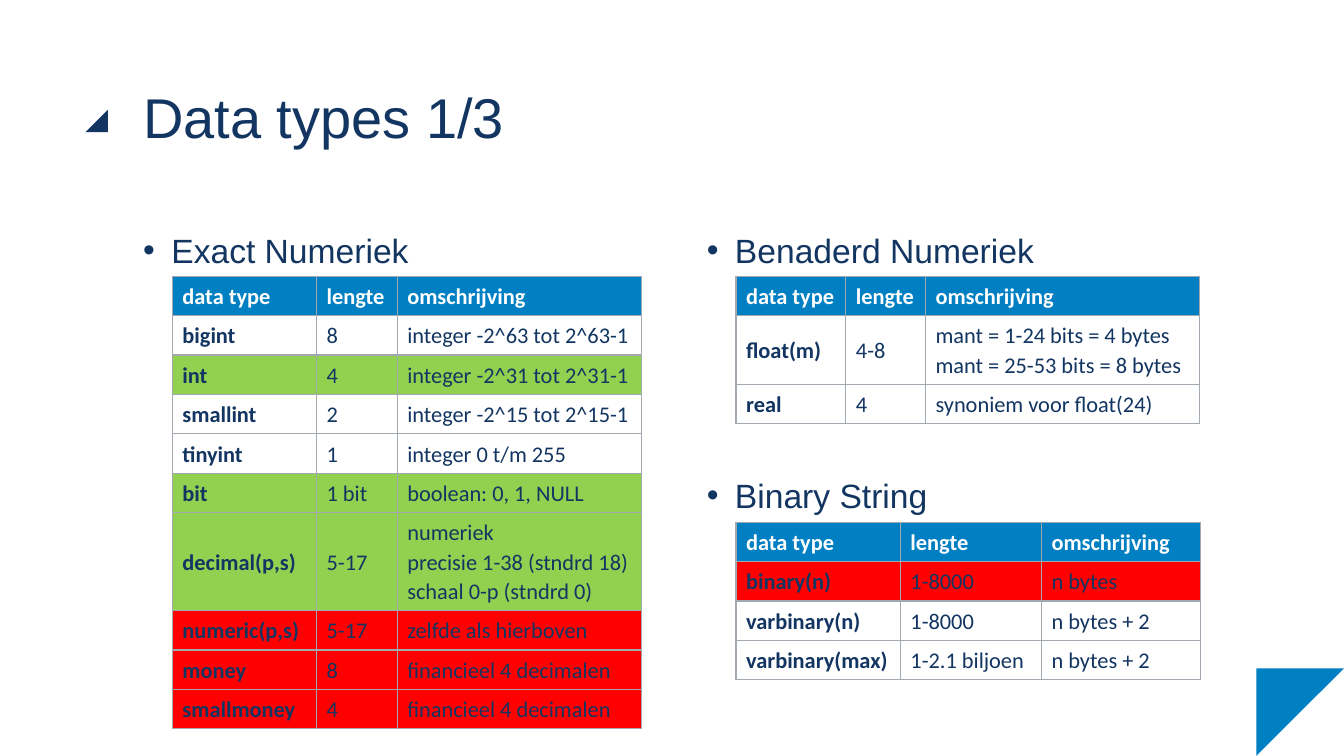
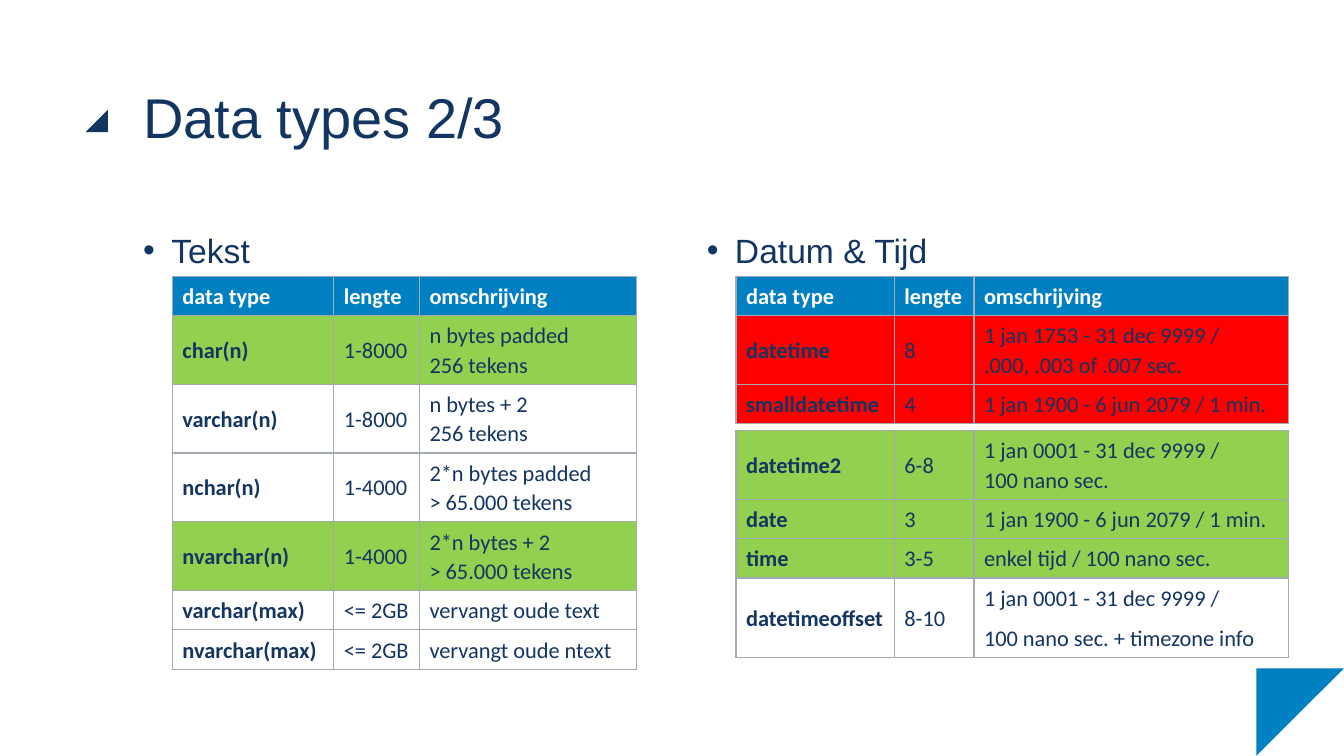
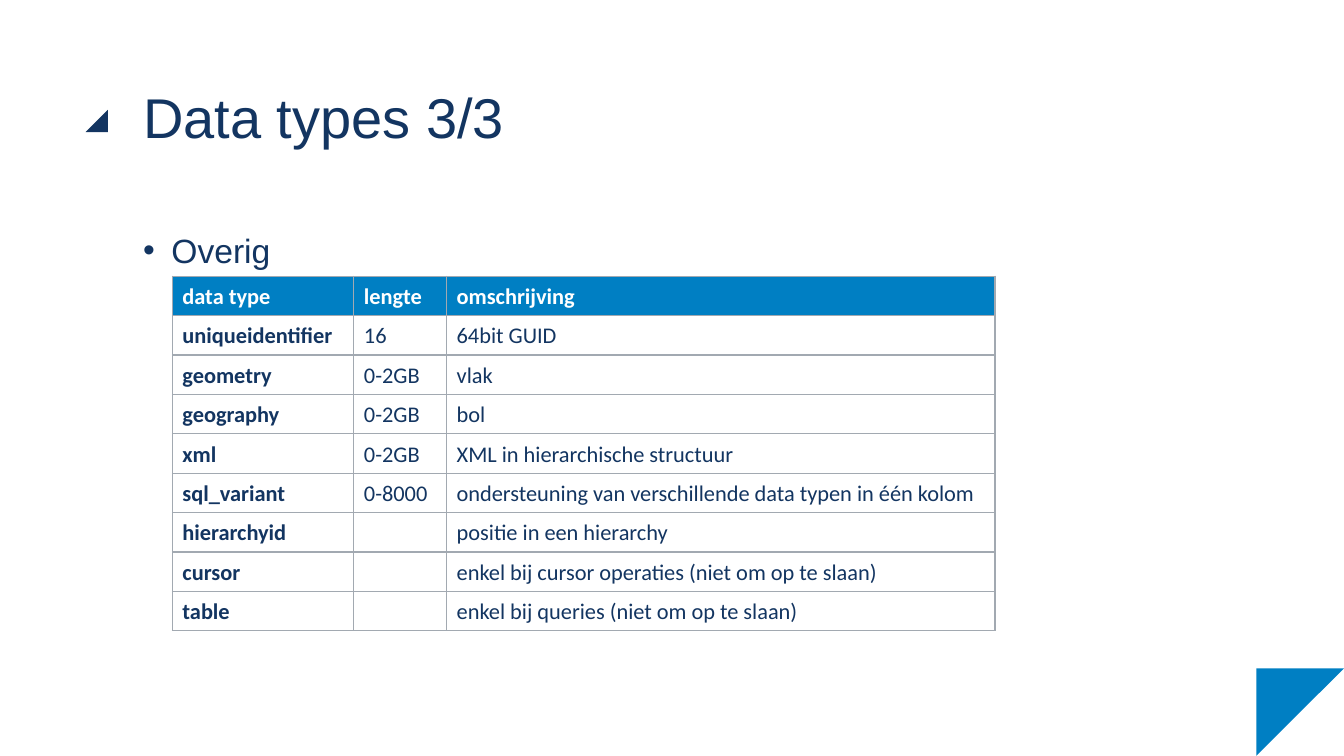
import copy

import lxml.etree
import pptx
import pptx.dml.color
import pptx.enum.shapes
import pptx.enum.text
import pptx.oxml.ns
import pptx.util

Inches = pptx.util.Inches
Pt = pptx.util.Pt
qn = pptx.oxml.ns.qn

COLORS = {
    "navy": "133561",
    "blue": "007FC3",
    "white": "FFFFFF",
    "green": "92D050",
    "red": "FF0000",
    "border": "A2A9B1",
}
WIDTH, HEIGHT = 13.33, 7.5
MARGIN, COLUMN, GUTTER = 1.42, 5.2, 0.39
CONTENT = 2 * COLUMN + GUTTER
TITLE_TOP, TITLE_HEIGHT = 0.79, 1.42
BODY_TOP, BODY_HEIGHT = 2.2, 4.53
TABLE_TOP, TABLE_INDENT = 2.74, 0.29
CORNER = 0.87
CELL_PADDING, LINE_HEIGHT, PARAGRAPH_GAP = 0.1, 0.29, 0.11
HEADER = ("data type", "lengte", "omschrijving")

SLIDES = [
    {
        "title": "Data types 1/3",
        "bodies": ["Exact Numeriek", "Benaderd Numeriek\nBinary String"],
        "tables": [
            {"column": 0, "widths": (1.43, 0.8, 2.42), "rows": [
                ("white", "bigint", "8", "integer -2^63 tot 2^63-1"),
                ("green", "int", "4", "integer -2^31 tot 2^31-1"),
                ("white", "smallint", "2", "integer -2^15 tot 2^15-1"),
                ("white", "tinyint", "1", "integer 0 t/m 255"),
                ("green", "bit", "1 bit", "boolean: 0, 1, NULL"),
                ("green", "decimal(p,s)", "5-17",
                 "numeriek\vprecisie 1-38 (stndrd 18)\vschaal 0-p (stndrd 0)"),
                ("red", "numeric(p,s)", "5-17", "zelfde als hierboven"),
                ("red", "money", "8", "financieel 4 decimalen"),
                ("red", "smallmoney", "4", "financieel 4 decimalen"),
            ]},
            {"column": 1, "widths": (1.09, 0.79, 2.72), "rows": [
                ("white", "float(m)", "4-8",
                 "mant = 1-24 bits = 4 bytes\vmant = 25-53 bits = 8 bytes"),
                ("white", "real", "4", "synoniem voor float(24)"),
            ]},
            {"column": 1, "top": 5.18, "widths": (1.63, 1.4, 1.58), "rows": [
                ("red", "binary(n)", "1-8000", "n bytes"),
                ("white", "varbinary(n)", "1-8000", "n bytes + 2"),
                ("white", "varbinary(max)", "1-2.1 biljoen", "n bytes + 2"),
            ]},
        ],
    },
    {
        "title": "Data types 2/3",
        "bodies": ["Tekst", "Datum & Tijd"],
        "tables": [
            {"column": 0, "widths": (1.6, 0.85, 2.15), "rows": [
                ("green", "char(n)", "1-8000", "n bytes padded\v256 tekens"),
                ("white", "varchar(n)", "1-8000", "n bytes + 2\v256 tekens"),
                ("white", "nchar(n)", "1-4000", "2*n bytes padded\v> 65.000 tekens"),
                ("green", "nvarchar(n)", "1-4000", "2*n bytes + 2\v> 65.000 tekens"),
                ("white", "varchar(max)", "<= 2GB", "vervangt oude text"),
                ("white", "nvarchar(max)", "<= 2GB", "vervangt oude ntext"),
            ]},
            {"column": 1, "widths": (1.57, 0.79, 3.12), "rows": [
                ("red", "datetime", "8",
                 "1 jan 1753 - 31 dec 9999 /\v.000, .003 of .007 sec."),
                ("red", "smalldatetime", "4", "1 jan 1900 - 6 jun 2079 / 1 min."),
            ]},
            {"column": 1, "top": 4.27, "header": False, "widths": (1.57, 0.79, 3.12), "rows": [
                ("green", "datetime2", "6-8", "1 jan 0001 - 31 dec 9999 /\v100 nano sec."),
                ("green", "date", "3", "1 jan 1900 - 6 jun 2079 / 1 min."),
                ("green", "time", "3-5", "enkel tijd / 100 nano sec."),
                ("white", "datetimeoffset", "8-10",
                 "1 jan 0001 - 31 dec 9999 /\n100 nano sec. + timezone info"),
            ]},
        ],
    },
    {
        "title": "Data types 3/3",
        "bodies": ["Overig"],
        "tables": [
            {"column": 0, "widths": (1.8, 0.92, 5.44), "rows": [
                ("white", "uniqueidentifier", "16", "64bit GUID"),
                ("white", "geometry", "0-2GB", "vlak"),
                ("white", "geography", "0-2GB", "bol"),
                ("white", "xml", "0-2GB", "XML in hierarchische structuur"),
                ("white", "sql_variant", "0-8000",
                 "ondersteuning van verschillende data typen in één kolom"),
                ("white", "hierarchyid", "", "positie in een hierarchy"),
                ("white", "cursor", "", "enkel bij cursor operaties (niet om op te slaan)"),
                ("white", "table", "", "enkel bij queries (niet om op te slaan)"),
            ]},
        ],
    },
]


def rgb(name):
    return pptx.dml.color.RGBColor.from_string(COLORS[name])


def column_left(index):
    return MARGIN + index * (COLUMN + GUTTER)


def write(frame, text, size, font="Arial", color="navy", bold=False,
          spacing=1.0, before=0, after=0, bullet=False):
    frame.text = text
    frame.word_wrap = True
    for index, paragraph in enumerate(frame.paragraphs):
        element = paragraph._p
        if bullet:
            properties = element.get_or_add_pPr()
            properties.set("marL", str(Inches(0.28)))
            properties.set("indent", str(-Inches(0.28)))
            lxml.etree.SubElement(properties, qn("a:buFont"), typeface="Arial")
            lxml.etree.SubElement(properties, qn("a:buChar"), char="•")
        paragraph.alignment = pptx.enum.text.PP_ALIGN.LEFT
        paragraph.line_spacing = spacing
        paragraph.space_before = Pt(before if index else 0)
        paragraph.space_after = Pt(after)
        for run in paragraph.runs:
            run.font.size = Pt(size)
            run.font.name = font
            run.font.bold = bold
            run.font.color.rgb = rgb(color)
        for line_break in element.findall(qn("a:br")):
            line_break.insert(0, copy.deepcopy(element.find(qn("a:r")).find(qn("a:rPr"))))
        if not paragraph.runs:
            lxml.etree.SubElement(element, qn("a:endParaRPr"), sz=str(size * 100))


def fill_placeholder(placeholder, text, **style):
    frame = placeholder.text_frame
    frame.margin_left = frame.margin_right = frame.margin_top = frame.margin_bottom = 0
    frame.vertical_anchor = pptx.enum.text.MSO_ANCHOR.TOP
    frame.auto_size = pptx.enum.text.MSO_AUTO_SIZE.NONE
    write(frame, text, **style)


def border(cell):
    properties = cell._tc.get_or_add_tcPr()
    for side in ("lnL", "lnR", "lnT", "lnB"):
        line = lxml.etree.SubElement(properties, qn("a:" + side), w=str(Pt(1)))
        solid = lxml.etree.SubElement(line, qn("a:solidFill"))
        lxml.etree.SubElement(solid, qn("a:srgbClr"), val=COLORS["border"])


def row_height(texts):
    return max(
        CELL_PADDING + LINE_HEIGHT * (1 + text.count("\v") + text.count("\n"))
        + PARAGRAPH_GAP * text.count("\n")
        for text in texts
    )


def add_data_table(slide, column, widths, rows, top=TABLE_TOP, header=True):
    if header:
        rows = [("blue", *HEADER)] + rows
    heights = [row_height(row[1:]) for row in rows]
    table = slide.shapes.add_table(
        len(rows), len(widths),
        Inches(column_left(column) + TABLE_INDENT), Inches(top),
        Inches(sum(widths)), Inches(sum(heights)),
    ).table
    table.first_row = header
    table.horz_banding = False
    for index, width in enumerate(widths):
        table.columns[index].width = Inches(width)
    for row_index, (fill, *texts) in enumerate(rows):
        table.rows[row_index].height = Inches(heights[row_index])
        is_header = fill == "blue"
        for column_index, text in enumerate(texts):
            cell = table.cell(row_index, column_index)
            border(cell)
            cell.fill.solid()
            cell.fill.fore_color.rgb = rgb(fill)
            cell.vertical_anchor = pptx.enum.text.MSO_ANCHOR.MIDDLE
            write(cell.text_frame, text, size=16, font="Calibri", spacing=1.07, after=8,
                  color="white" if is_header else "navy",
                  bold=is_header or column_index == 0)


def place(shape, left, top, width, height):
    shape.left, shape.top = Inches(left), Inches(top)
    shape.width, shape.height = Inches(width), Inches(height)


def prepare_layout(layout, body_count):
    body_width = COLUMN if body_count == 2 else CONTENT
    for placeholder in layout.placeholders:
        index = placeholder.placeholder_format.idx
        if index == 0:
            place(placeholder, MARGIN, TITLE_TOP, CONTENT, TITLE_HEIGHT)
        elif index <= body_count:
            place(placeholder, column_left(index - 1), BODY_TOP, body_width, BODY_HEIGHT)


def add_master_triangle(slide, master, number, left, top, size, color, rotation=0, flip=False):
    triangle = slide.shapes.add_shape(
        pptx.enum.shapes.MSO_SHAPE.RIGHT_TRIANGLE,
        Inches(left), Inches(top), Inches(size), Inches(size))
    triangle.shadow.inherit = False
    triangle.fill.solid()
    triangle.fill.fore_color.rgb = rgb(color)
    triangle.line.fill.background()
    triangle.rotation = rotation
    if flip:
        triangle.element.spPr.find(qn("a:xfrm")).set("flipH", "1")
    triangle.element.xpath(".//p:cNvPr")[0].set("id", str(number))
    master.shapes.element.append(triangle.element)


def main():
    presentation = pptx.Presentation()
    presentation.slide_width = Inches(WIDTH)
    presentation.slide_height = Inches(HEIGHT)
    layouts = {1: presentation.slide_layouts[1], 2: presentation.slide_layouts[3]}
    for body_count, layout in layouts.items():
        prepare_layout(layout, body_count)

    for content in SLIDES:
        slide = presentation.slides.add_slide(layouts[len(content["bodies"])])
        fill_placeholder(slide.shapes.title, content["title"], size=40, spacing=1.05)
        for index, text in enumerate(content["bodies"], 1):
            fill_placeholder(slide.placeholders[index], text, size=24, spacing=1.2,
                             before=140.5, bullet=True)
        for table in content["tables"]:
            add_data_table(slide, **table)

    first_slide, master = presentation.slides[0], presentation.slide_master
    add_master_triangle(first_slide, master, 101, 0.85, 1.09, 0.22, "navy", flip=True)
    add_master_triangle(first_slide, master, 102, WIDTH - CORNER, HEIGHT - CORNER,
                        CORNER, "blue", rotation=90)
    presentation.save("out.pptx")


if __name__ == "__main__":
    main()
